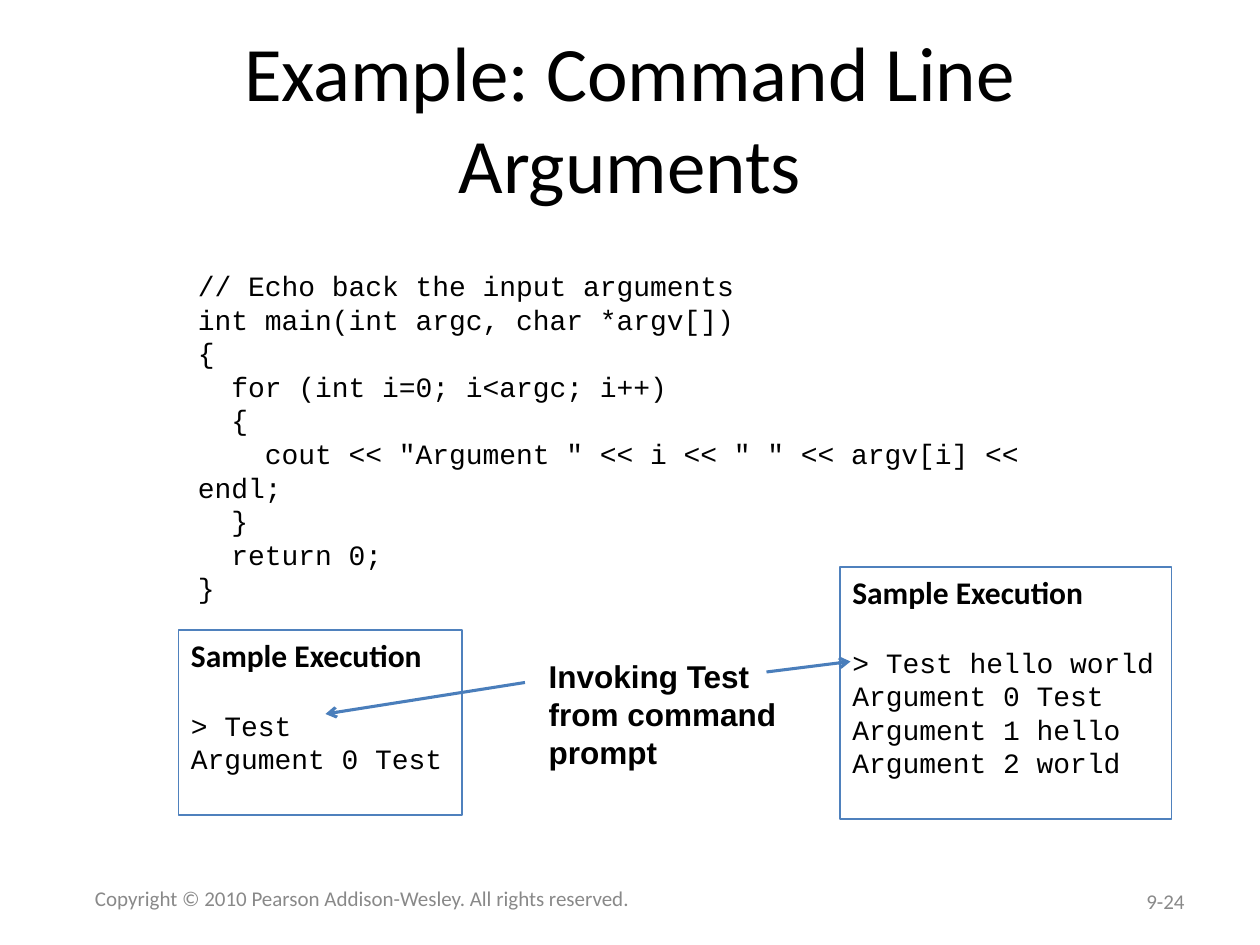
from dataclasses import dataclass

from lxml.etree import SubElement
from pptx import Presentation
from pptx.dml.color import RGBColor
from pptx.enum.shapes import MSO_CONNECTOR, MSO_SHAPE
from pptx.enum.text import MSO_ANCHOR, PP_ALIGN
from pptx.oxml.ns import qn
from pptx.util import Pt


@dataclass(frozen=True)
class Theme:
    text: RGBColor = RGBColor(0x00, 0x00, 0x00)
    muted: RGBColor = RGBColor(0x89, 0x89, 0x89)
    border: RGBColor = RGBColor(0x4F, 0x81, 0xBD)
    arrow: RGBColor = RGBColor(0x4A, 0x7E, 0xBB)
    body_font: str = "Calibri"
    code_font: str = "Courier New"
    note_font: str = "Arial"
    title_size: int = 44
    heading_size: int = 18
    code_size: int = 16
    footer_size: int = 12
    heading_gap: float = 19.5


THEME = Theme()

CODE = """// Echo back the input arguments
int main(int argc, char *argv[])
{
  for (int i=0; i<argc; i++)
  {
    cout << "Argument " << i << " " << argv[i] << endl;
  }
  return 0;
}""".splitlines()


def style(paragraph, font, size, color=THEME.text, bold=False):
    paragraph.font.name = font
    paragraph.font.size = Pt(size)
    paragraph.font.color.rgb = color
    paragraph.font.bold = bold


def write_lines(frame, lines):
    frame.text = "\n".join(lines)
    return frame.paragraphs


def add_text(slide, box, lines, font, size, color=THEME.text, bold=False,
             align=PP_ALIGN.LEFT, anchor=MSO_ANCHOR.TOP, wrap=True):
    shape = slide.shapes.add_textbox(*map(Pt, box))
    frame = shape.text_frame
    frame.word_wrap = wrap
    frame.vertical_anchor = anchor
    for paragraph in write_lines(frame, lines):
        paragraph.alignment = align
        style(paragraph, font, size, color, bold)


def add_title(slide, box, text):
    add_text(slide, box, [text], THEME.body_font, THEME.title_size,
             align=PP_ALIGN.CENTER, anchor=MSO_ANCHOR.MIDDLE)


def add_footer(slide, box, text, align):
    add_text(slide, box, [text], THEME.body_font, THEME.footer_size,
             THEME.muted, align=align, anchor=MSO_ANCHOR.MIDDLE)


def add_code(slide, box, lines):
    add_text(slide, box, lines, THEME.code_font, THEME.code_size, wrap=False)


def add_note(slide, box, lines):
    add_text(slide, box, lines, THEME.note_font, THEME.heading_size,
             bold=True, wrap=False)


def add_execution(slide, box, output):
    shape = slide.shapes.add_shape(MSO_SHAPE.RECTANGLE, *map(Pt, box))
    shape.shadow.inherit = False
    shape.fill.background()
    shape.line.color.rgb = THEME.border
    shape.line.width = Pt(0.75)
    frame = shape.text_frame
    frame.word_wrap = True
    frame.vertical_anchor = MSO_ANCHOR.TOP
    heading, *results = write_lines(frame, ["Sample Execution", *output])
    heading.alignment = PP_ALIGN.LEFT
    style(heading, THEME.body_font, THEME.heading_size, bold=True)
    for paragraph in results:
        paragraph.alignment = PP_ALIGN.LEFT
        style(paragraph, THEME.code_font, THEME.code_size)
    results[0].space_before = Pt(THEME.heading_gap)


def add_arrow(slide, start, end):
    connector = slide.shapes.add_connector(
        MSO_CONNECTOR.STRAIGHT, *map(Pt, (*start, *end)))
    connector.line.color.rgb = THEME.arrow
    connector.line.width = Pt(1.75)
    properties = connector.element.spPr
    SubElement(properties.find(qn("a:ln")), qn("a:tailEnd"), type="arrow")
    SubElement(properties, qn("a:effectLst"))


def main():
    presentation = Presentation()
    presentation.slide_width = Pt(720)
    presentation.slide_height = Pt(540)
    slide = presentation.slides.add_slide(presentation.slide_layouts[6])

    add_title(slide, (36, 21.6, 648, 90), "Example: Command Line Arguments")
    add_code(slide, (106, 150, 540.5, 199.5), CODE)
    add_execution(slide, (102, 360, 162, 105.8), ["> Test", "Argument 0 Test"])
    add_execution(slide, (480, 324, 189.4, 144), [
        "> Test hello world", "Argument 0 Test",
        "Argument 1 hello", "Argument 2 world"])
    add_note(slide, (306.5, 372, 149, 72),
             ["Invoking Test", "from command", "prompt"])
    add_arrow(slide, (300, 390), (186, 408))
    add_arrow(slide, (438, 384), (486, 378))
    add_footer(slide, (36, 499, 342, 28.8),
               "Copyright © 2010 Pearson Addison-Wesley. All rights reserved.",
               PP_ALIGN.CENTER)
    add_footer(slide, (516, 500.4, 168, 28.8), "9-24", PP_ALIGN.RIGHT)

    presentation.save("out.pptx")


if __name__ == "__main__":
    main()
